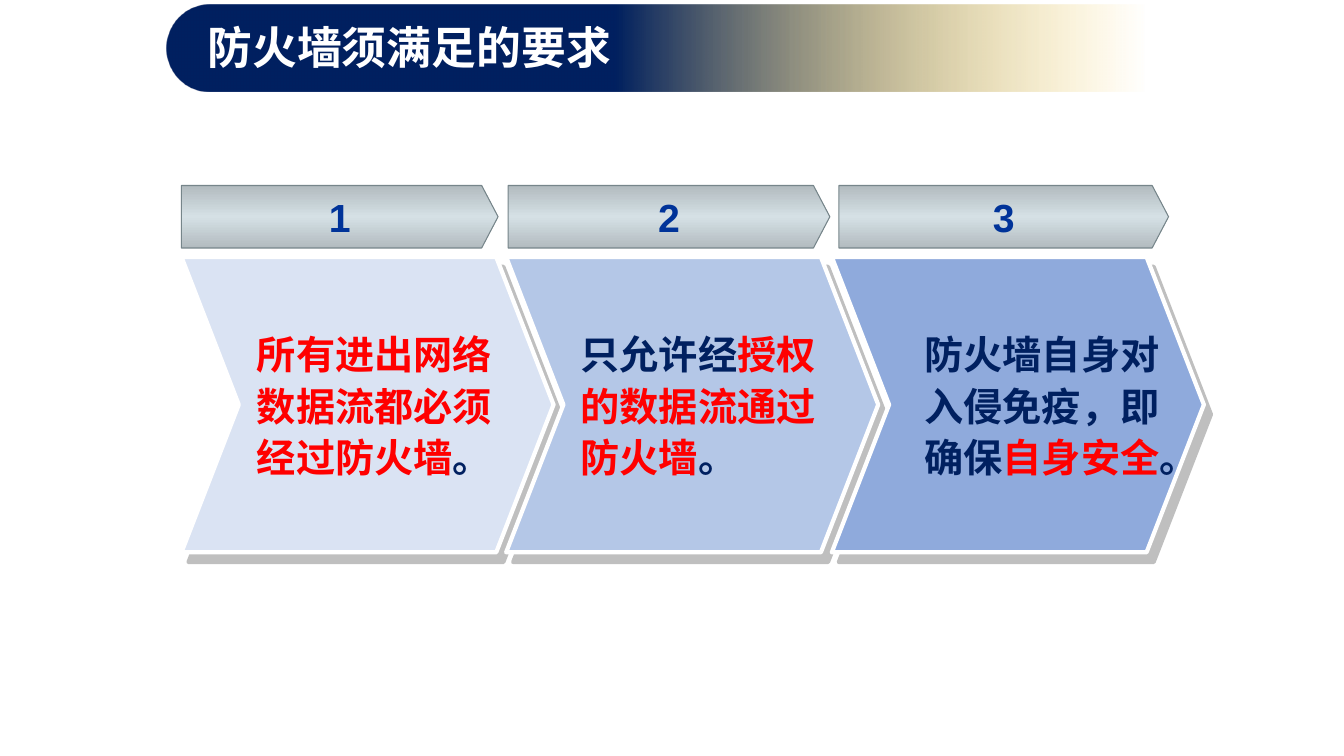
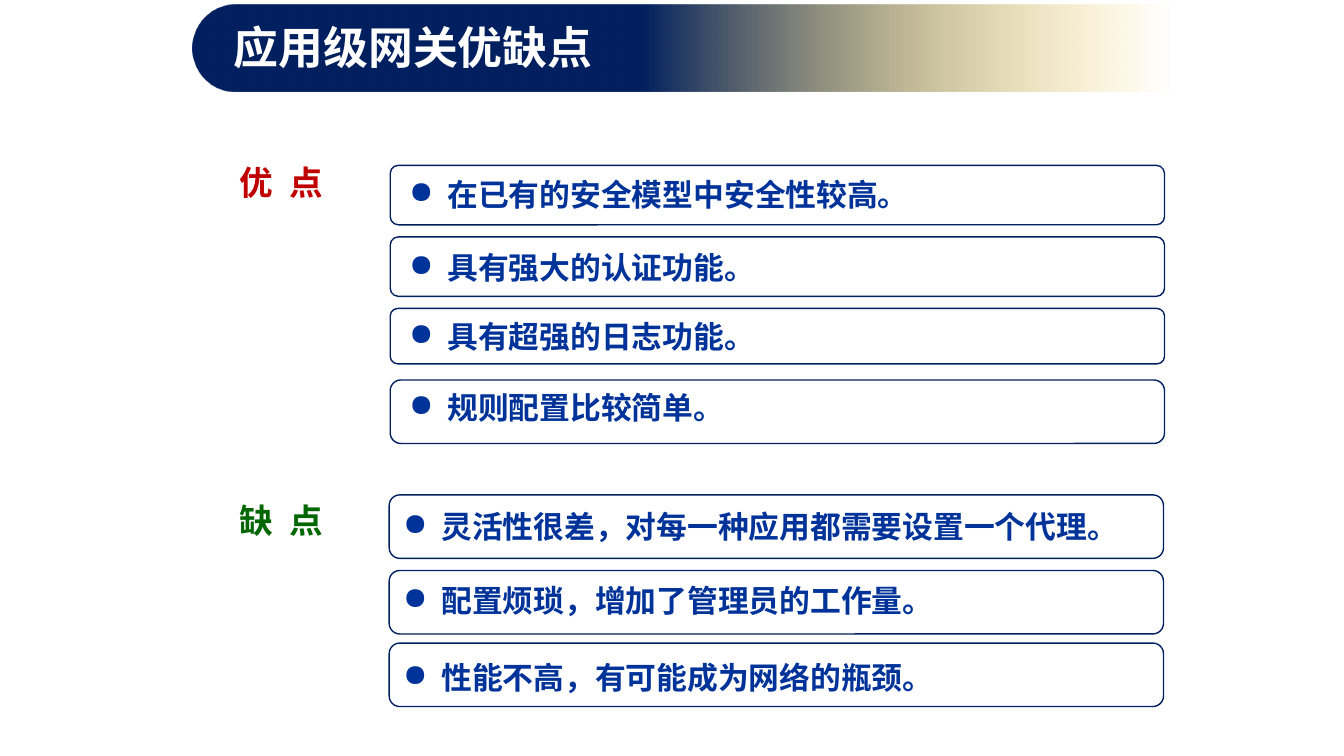
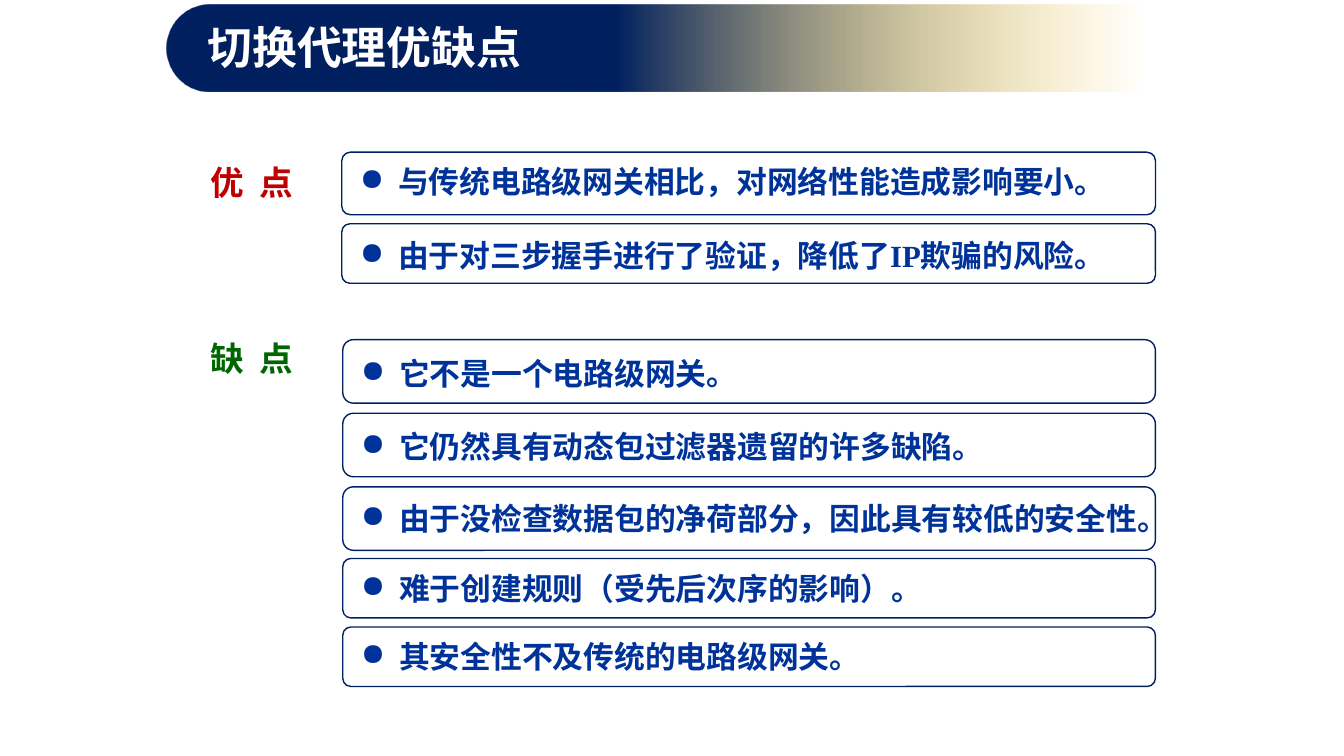
from lxml.etree import SubElement
from pptx import Presentation
from pptx.dml.color import RGBColor
from pptx.enum.shapes import MSO_SHAPE
from pptx.enum.text import PP_ALIGN
from pptx.oxml.ns import qn
from pptx.util import Inches, Pt

COLORS = {
    "navy": "002060", "gold": "FFC000", "white": "FFFFFF", "red": "FF0000",
    "blue": "003399", "pro": "C00000", "con": "006600", "shadow": "808080",
    "steel": "B2BBBF", "steel_light": "D5E0E5", "steel_edge": "76858A",
    "step1": "DAE3F3", "step2": "B4C7E7", "step3": "8FAADC",
}
CJK = "Noto Sans CJK SC"
SERIF = "Times New Roman"


class Deck:
    """Holds the shared style and the slide being filled."""

    def __init__(self):
        self.prs = Presentation()
        self.prs.slide_width, self.prs.slide_height = Inches(13.33), Inches(7.5)
        self.slide = None

    def new_slide(self, title, left=1.65):
        self.slide = self.prs.slides.add_slide(self.prs.slide_layouts[6])
        band = self.shape(MSO_SHAPE.ROUNDED_RECTANGLE, (left, 0.05, 10.55, 0.86), 0.5)
        self.gradient(band, [(42, "navy", 100), (92, "gold", 0)], 0)
        self.text((left + 0.31, 0.15, 6.63, 0.64), [(title, "white")], 32, CJK)

    def shape(self, preset, box, adjust, line=None, line_width=1):
        shape = self.slide.shapes.add_shape(preset, *map(Inches, box))
        shape.adjustments[0] = adjust
        shape.shadow.inherit = False
        if line:
            shape.line.color.rgb = RGBColor.from_string(COLORS[line])
            shape.line.width = Pt(line_width)
        else:
            shape.line.fill.background()
        return shape

    def solid(self, shape, color, opacity=100):
        shape.fill.solid()
        shape.fill.fore_color.rgb = RGBColor.from_string(COLORS[color])
        if opacity < 100:
            fill = shape._element.spPr.find(qn("a:solidFill"))
            SubElement(fill[0], qn("a:alpha"), val=str(opacity * 1000))

    def gradient(self, shape, stops, angle):
        shape.fill.gradient()
        shape.fill.gradient_angle = angle
        stop_list = shape._element.spPr.find(qn("a:gradFill")).find(qn("a:gsLst"))
        for default_stop in list(stop_list):
            stop_list.remove(default_stop)
        for position, color, opacity in stops:
            stop = SubElement(stop_list, qn("a:gs"), pos=str(position * 1000))
            tint = SubElement(stop, qn("a:srgbClr"), val=COLORS[color])
            if opacity < 100:
                SubElement(tint, qn("a:alpha"), val=str(opacity * 1000))

    def drop_shadow(self, shape):
        effects = shape._element.spPr.find(qn("a:effectLst"))
        shadow = SubElement(effects, qn("a:outerShdw"), blurRad="0", dist=str(Pt(8.6)),
                            dir=str(54 * 60000), algn="ctr", rotWithShape="0")
        tint = SubElement(shadow, qn("a:srgbClr"), val=COLORS["shadow"])
        SubElement(tint, qn("a:alpha"), val="50000")

    def text(self, box, runs, size, font=SERIF, align=PP_ALIGN.LEFT,
             spacing=None, bullet=False, tracking=None):
        frame = self.slide.shapes.add_textbox(*map(Inches, box)).text_frame
        frame.word_wrap = True
        paragraph = frame.paragraphs[0]
        paragraph.alignment = align
        if spacing:
            paragraph.line_spacing = spacing
        if bullet:
            props = paragraph._p.get_or_add_pPr()
            props.set("marL", str(Inches(0.38)))
            props.set("indent", str(-Inches(0.38)))
            SubElement(props, qn("a:buChar"), char="●")
        for words, color in runs:
            run = paragraph.add_run()
            run.text = words
            run.font.size, run.font.bold, run.font.name = Pt(size), True, font
            run.font.color.rgb = RGBColor.from_string(COLORS[color])
            SubElement(run._r.get_or_add_rPr(), qn("a:ea"), typeface=CJK)
            if tracking:
                run._r.get_or_add_rPr().set("spc", str(tracking * 100))

    def step_header(self, number, left, width):
        box = (left, 1.84, width, 0.62)
        plate = self.shape(MSO_SHAPE.PENTAGON, box, 0.262, "steel_edge", 0.75)
        self.gradient(plate, [(0, "steel", 100), (50, "steel_light", 100),
                              (100, "steel", 100)], 90)
        self.text((left, 1.87, width, 0.57), [(number, "blue")], 28, "Arial",
                  PP_ALIGN.CENTER)

    def step_body(self, left, color, text_left, text_width, runs, align):
        chevron = self.shape(MSO_SHAPE.CHEVRON, (left, 2.55, 3.69, 2.93), 0.194, "white", 3)
        self.solid(chevron, color)
        self.drop_shadow(chevron)
        self.text((text_left, 3.18, text_width, 1.65), runs, 28, align=align, spacing=1.1)

    def side_label(self, words, color, left, top):
        self.text((left, top, 1.7, 0.5), [(words, color)], 24,
                  align=PP_ALIGN.CENTER, tracking=3)

    def points(self, left, width, text_left, rows):
        for top, height, text_top, words in rows:
            frame = self.shape(MSO_SHAPE.ROUNDED_RECTANGLE, (left, top, width, height),
                               0.167 if height > 0.62 else 0.137, "navy")
            self.solid(frame, "white", 90)
            self.text((text_left, text_top, width, 0.47), [(words, "blue")], 22, bullet=True)


def requirements(deck):
    deck.new_slide("防火墙须满足的要求")
    steps = [
        (1.8, "step1", 2.45, 2.71,
         [("所有进出网络数据流都必须经过防火墙", "red"), ("。", "navy")], PP_ALIGN.LEFT),
        (5.02, "step2", 5.66, 2.65,
         [("只允许经", "navy"), ("授权的数据流通过防火墙", "red"), ("。", "navy")],
         PP_ALIGN.LEFT),
        (8.25, "step3", 9.02, 2.63,
         [("防火墙自身对入侵免疫，即确保", "navy"), ("自身安全", "red"), ("。", "navy")],
         PP_ALIGN.CENTER),
    ]
    for step in steps:
        deck.step_body(*step)
    for header in [("1", 1.8, 3.14), ("2", 5.04, 3.19), ("3", 8.32, 3.27)]:
        deck.step_header(*header)


def application_gateway(deck):
    deck.new_slide("应用级网关优缺点", 1.91)
    deck.side_label("优 点", "pro", 1.94, 1.56)
    deck.points(3.87, 7.68, 3.96, [
        (1.64, 0.59, 1.69, "在已有的安全模型中安全性较高。"),
        (2.35, 0.59, 2.42, "具有强大的认证功能。"),
        (3.06, 0.55, 3.1, "具有超强的日志功能。"),
        (3.77, 0.63, 3.81, "规则配置比较简单。"),
    ])
    deck.side_label("缺 点", "con", 1.94, 4.91)
    deck.points(3.86, 7.68, 3.9, [
        (4.91, 0.63, 4.99, "灵活性很差，对每一种应用都需要设置一个代理。"),
        (5.66, 0.63, 5.72, "配置烦琐，增加了管理员的工作量。"),
        (6.38, 0.63, 6.49, "性能不高，有可能成为网络的瓶颈。"),
    ])


def switching_proxy(deck):
    deck.new_slide("切换代理优缺点")
    deck.side_label("优 点", "pro", 1.65, 1.56)
    deck.points(3.39, 8.07, 3.47, [
        (1.51, 0.62, 1.57, "与传统电路级网关相比，对网络性能造成影响要小。"),
        (2.22, 0.59, 2.3, "由于对三步握手进行了验证，降低了IP欺骗的风险。"),
    ])
    deck.side_label("缺 点", "con", 1.65, 3.3)
    deck.points(3.4, 8.06, 3.48, [
        (3.37, 0.63, 3.47, "它不是一个电路级网关。"),
        (4.1, 0.63, 4.19, "它仍然具有动态包过滤器遗留的许多缺陷。"),
        (4.83, 0.63, 4.91, "由于没检查数据包的净荷部分，因此具有较低的安全性。"),
        (5.54, 0.59, 5.6, "难于创建规则（受先后次序的影响）。"),
        (6.22, 0.59, 6.28, "其安全性不及传统的电路级网关。"),
    ])


def main():
    deck = Deck()
    requirements(deck)
    application_gateway(deck)
    switching_proxy(deck)
    deck.prs.save("out.pptx")


if __name__ == "__main__":
    main()
